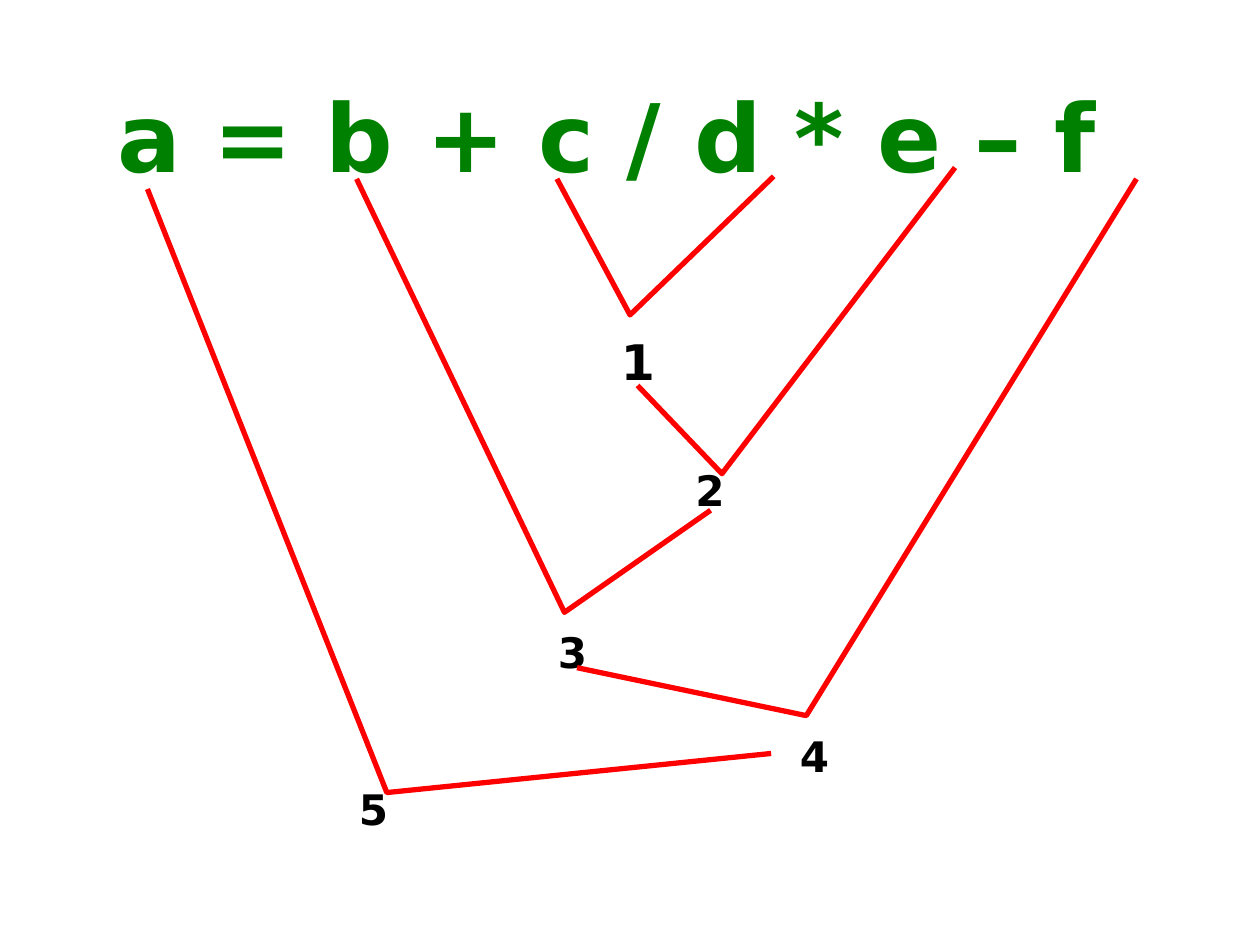
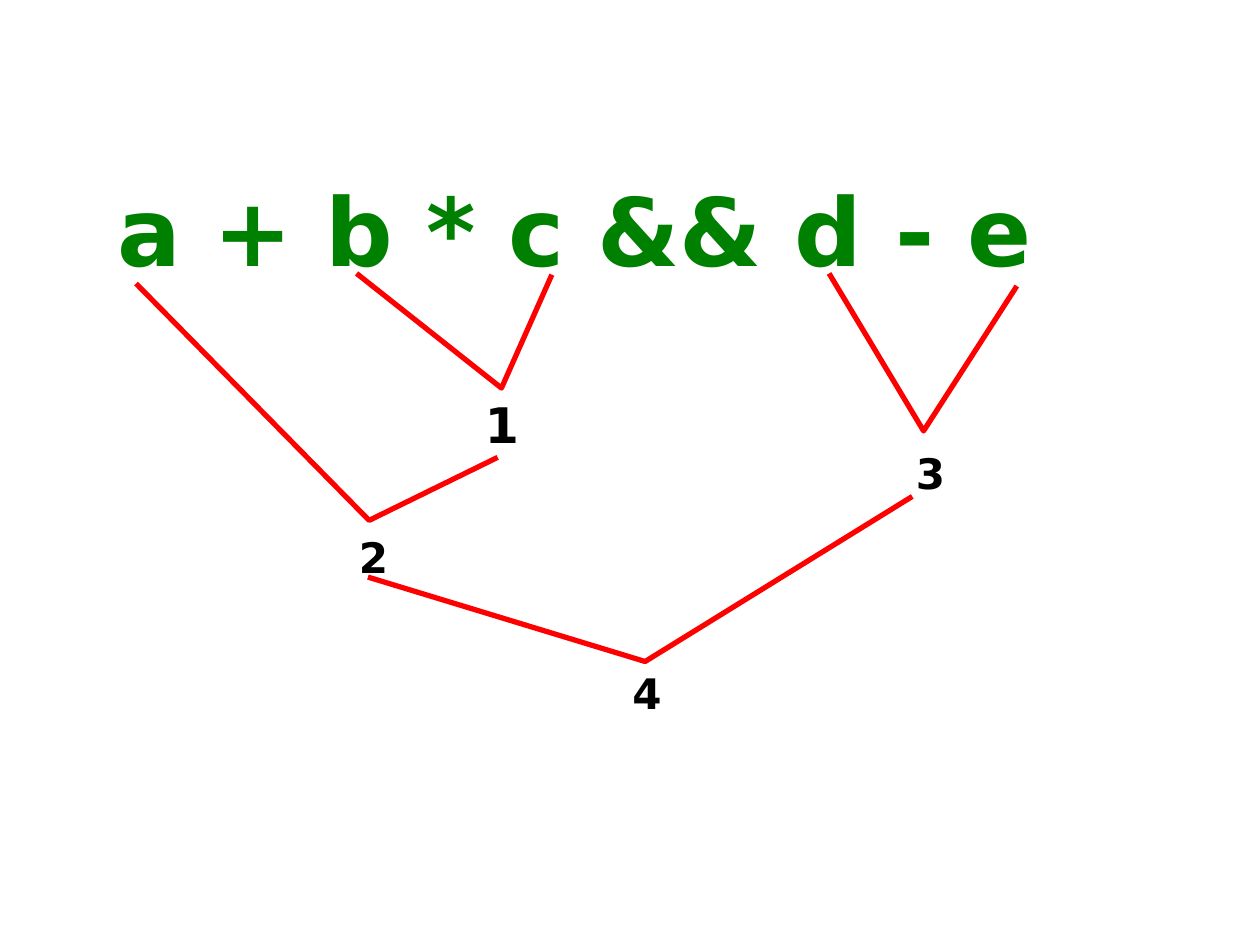
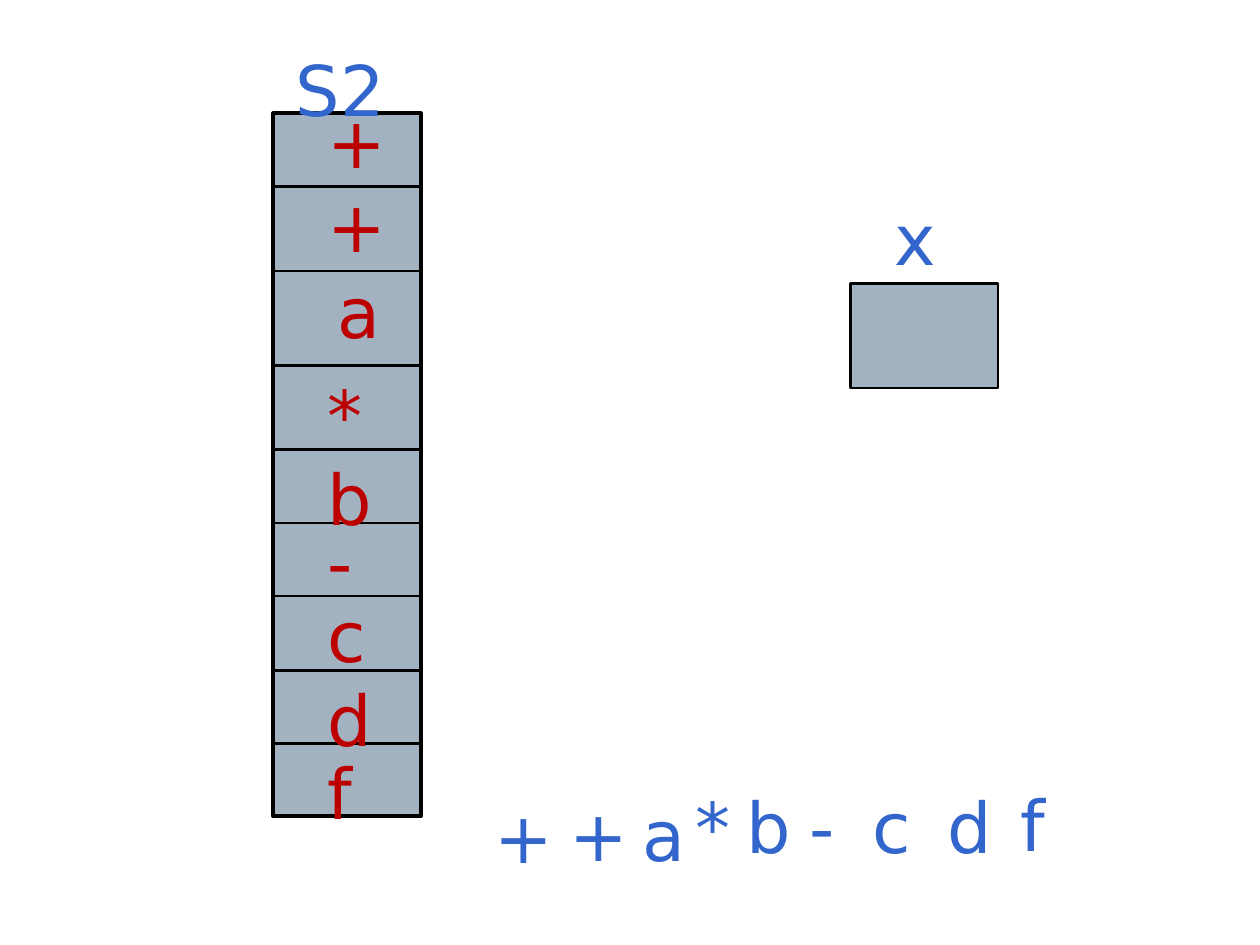
"""Build three slides on expression evaluation order and an operator stack."""
import dataclasses
import itertools

import lxml.etree
import pptx
import pptx.dml.color
import pptx.enum.shapes
import pptx.enum.text
import pptx.oxml.ns
import pptx.util

Inches = pptx.util.Inches


@dataclasses.dataclass(frozen=True)
class Theme:
    """Hold the colours, type sizes and line widths the slides share."""
    font: str = "DejaVu Sans"
    expression: str = "008000"
    branch: str = "FF0000"
    ink: str = "000000"
    cell: str = "A3B2C1"
    stacked: str = "BC0000"
    label: str = "3366CC"
    expression_size: float = 54
    first_step_size: float = 28
    step_size: float = 24
    symbol_size: float = 40
    branch_width: float = 3
    frame_width: float = 2.25
    rule_width: float = 1.5


@dataclasses.dataclass(frozen=True)
class Box:
    """Describe a region in inches."""
    left: float
    top: float
    width: float
    height: float

    def inside(self, x, y, width, height):
        """Return a box placed relative to this one."""
        return Box(self.left + x, self.top + y, width, height)

    def lengths(self):
        """Return left, top, width and height as lengths."""
        return [Inches(value) for value in dataclasses.astuple(self)]


THEME = Theme()
SYMBOL_HEIGHT = 0.77

DIVISION_FIRST = [
    ("1", (4, 1.91), 0.33, [(3.59, 0.75), (4.17, 1.83), (5.31, 0.73)]),
    ("2", (4.59, 2.97), 0.42, [(4.23, 2.39), (4.9, 3.09), (6.75, 0.66)]),
    ("3", (3.5, 4.25), 0.5, [(2, 0.75), (3.65, 4.19), (4.81, 3.38)]),
    ("4", (5.42, 5.08), 0.67, [(3.75, 4.63), (5.57, 5.01), (8.19, 0.75)]),
    ("5", (1.92, 5.5), 0.58, [(0.34, 0.83), (2.24, 5.62), (5.29, 5.31)]),
]
PRODUCT_FIRST = [
    ("1", (2.92, 1.66), 0.33, [(2, 0.75), (3.15, 1.66), (3.55, 0.76)]),
    ("2", (1.92, 2.75), 0.42, [(0.25, 0.83), (2.1, 2.71), (3.12, 2.21)]),
    ("3", (6.34, 2.08), 0.5, [(5.75, 0.75), (6.5, 2), (7.24, 0.85)]),
    ("4", (4.09, 3.83), 0.67, [(2.09, 3.16), (4.29, 3.83), (6.41, 2.52)]),
]
STACK_CELLS = [
    ("+", 0.58, 0.33, -0.17),
    ("+", 0.67, 0.33, -0.08),
    ("a", 0.75, 0.41, -0.07),
    ("*", 0.67, 0.33, 0),
    ("b", 0.58, 0.33, 0),
    ("-", 0.58, 0.33, -0.08),
    ("c", 0.59, 0.33, -0.08),
    ("d", 0.58, 0.33, 0),
    ("f", 0.58, 0.33, 0),
]
PREFIX_SYMBOLS = [
    ("+", 0, 0.1), ("+", 0.59, 0.08), ("a", 1.17, 0.08),
    ("*", 1.59, 0.02), ("b", 2, 0.02), ("-", 2.5, 0.02),
    ("c", 3, 0.02), ("d", 3.59, 0.02), ("f", 4.17, 0),
]


def rgb(value):
    """Return a colour from its hexadecimal value."""
    return pptx.dml.color.RGBColor.from_string(value)


def style_line(line, color, width):
    """Set the colour and width of a line."""
    line.color.rgb = rgb(color)
    line.width = pptx.util.Pt(width)


def write(shape, text, size, color, bold=False):
    """Write one left-aligned paragraph at the top of a shape."""
    frame = shape.text_frame
    frame.text = text
    frame.word_wrap = True
    frame.auto_size = pptx.enum.text.MSO_AUTO_SIZE.SHAPE_TO_FIT_TEXT
    frame.vertical_anchor = pptx.enum.text.MSO_ANCHOR.TOP
    paragraph = frame.paragraphs[0]
    paragraph.alignment = pptx.enum.text.PP_ALIGN.LEFT
    font = paragraph.runs[0].font
    font.name, font.size, font.bold = THEME.font, pptx.util.Pt(size), bold
    font.color.rgb = rgb(color)
    return paragraph


def add_text(slide, box, text, size, color, bold=False):
    """Add a text box."""
    write(slide.shapes.add_textbox(*box.lengths()), text, size, color, bold)


def add_symbol(slide, box, text, color):
    """Add a large symbol or name."""
    add_text(slide, box, text, THEME.symbol_size, color)


def add_cell(slide, box, line_width):
    """Add a filled rectangle with a dark outline."""
    kind = pptx.enum.shapes.MSO_SHAPE.RECTANGLE
    cell = slide.shapes.add_shape(kind, *box.lengths())
    cell.shadow.inherit = False
    cell.fill.solid()
    cell.fill.fore_color.rgb = rgb(THEME.cell)
    style_line(cell.line, THEME.ink, line_width)


def add_divider(slide, box, y):
    """Add a horizontal line across a box."""
    left, right = Inches(box.left), Inches(box.left + box.width)
    height = Inches(box.top + y)
    kind = pptx.enum.shapes.MSO_CONNECTOR.STRAIGHT
    divider = slide.shapes.add_connector(kind, left, height, right, height)
    style_line(divider.line, THEME.ink, THEME.rule_width)
    properties = divider._element.spPr
    lxml.etree.SubElement(properties, pptx.oxml.ns.qn("a:effectLst"))


def add_branch(slide, box, points):
    """Add an open outline that joins two operands at their operation."""
    start, *rest = [(Inches(box.left + x), Inches(box.top + y)) for x, y in points]
    builder = slide.shapes.build_freeform(*start)
    builder.add_line_segments(rest, close=False)
    branch = builder.convert_to_shape()
    branch.shadow.inherit = False
    branch.fill.background()
    style_line(branch.line, THEME.branch, THEME.branch_width)


def add_expression(slide, box, expression):
    """Place the expression in the slide title."""
    title = slide.shapes.title
    title.left, title.top, title.width, title.height = box.lengths()
    paragraph = write(title, expression, THEME.expression_size, THEME.expression, True)
    paragraph.line_spacing = 0.9


def add_evaluation_slide(presentation, box, expression, steps):
    """Add an expression with its numbered evaluation tree."""
    slide = presentation.slides.add_slide(presentation.slide_layouts[5])
    add_expression(slide, box, expression)
    for index, (number, (x, y), width, points) in enumerate(steps):
        add_branch(slide, box, points)
        size, height = (THEME.step_size, 0.5) if index else (THEME.first_step_size, 0.57)
        add_text(slide, box.inside(x, y, width, height), number, size, THEME.ink, True)


def add_stack(slide, box, name, cells):
    """Add a named stack with one symbol in each cell."""
    add_cell(slide, box, THEME.frame_width)
    tops = list(itertools.accumulate((cell[1] for cell in cells[:-1]), initial=0))
    for top in tops[1:]:
        add_divider(slide, box, top)
    for top, (symbol, _, x, shift) in zip(tops, cells):
        add_symbol(slide, box.inside(x, top + shift, 0.42, SYMBOL_HEIGHT), symbol, THEME.stacked)
    add_symbol(slide, box.inside(0.08, -0.58, 1, SYMBOL_HEIGHT), name, THEME.label)


def add_variable(slide, box, name):
    """Add an empty cell with its name above."""
    add_cell(slide, box, THEME.rule_width)
    add_symbol(slide, box.inside(0.25, -0.75, 0.5, SYMBOL_HEIGHT), name, THEME.label)


def add_prefix_row(slide, box, symbols):
    """Add the symbols of the prefix expression in a row."""
    for symbol, x, y in symbols:
        add_symbol(slide, box.inside(x, y, 0.67, SYMBOL_HEIGHT), symbol, THEME.label)


def add_stack_slide(presentation):
    """Add the slide with the stack, the variable and the prefix expression."""
    slide = presentation.slides.add_slide(presentation.slide_layouts[6])
    add_variable(slide, Box(6.75, 2.25, 1.17, 0.83), "x")
    add_stack(slide, Box(2.17, 0.9, 1.17, 5.58), "S2", STACK_CELLS)
    add_prefix_row(slide, Box(3.83, 6.15, 4.84, 0.87), PREFIX_SYMBOLS)


def main():
    """Build and save the presentation."""
    presentation = pptx.Presentation()
    presentation.slide_width, presentation.slide_height = Inches(10), Inches(7.5)
    add_evaluation_slide(
        presentation, Box(0.83, 0.67, 8.58, 0.91), "a = b + c / d * e – f", DIVISION_FIRST)
    add_evaluation_slide(
        presentation, Box(0.83, 1.42, 8.58, 0.91), "a + b * c && d - e", PRODUCT_FIRST)
    add_stack_slide(presentation)
    presentation.save("out.pptx")


if __name__ == "__main__":
    main()
